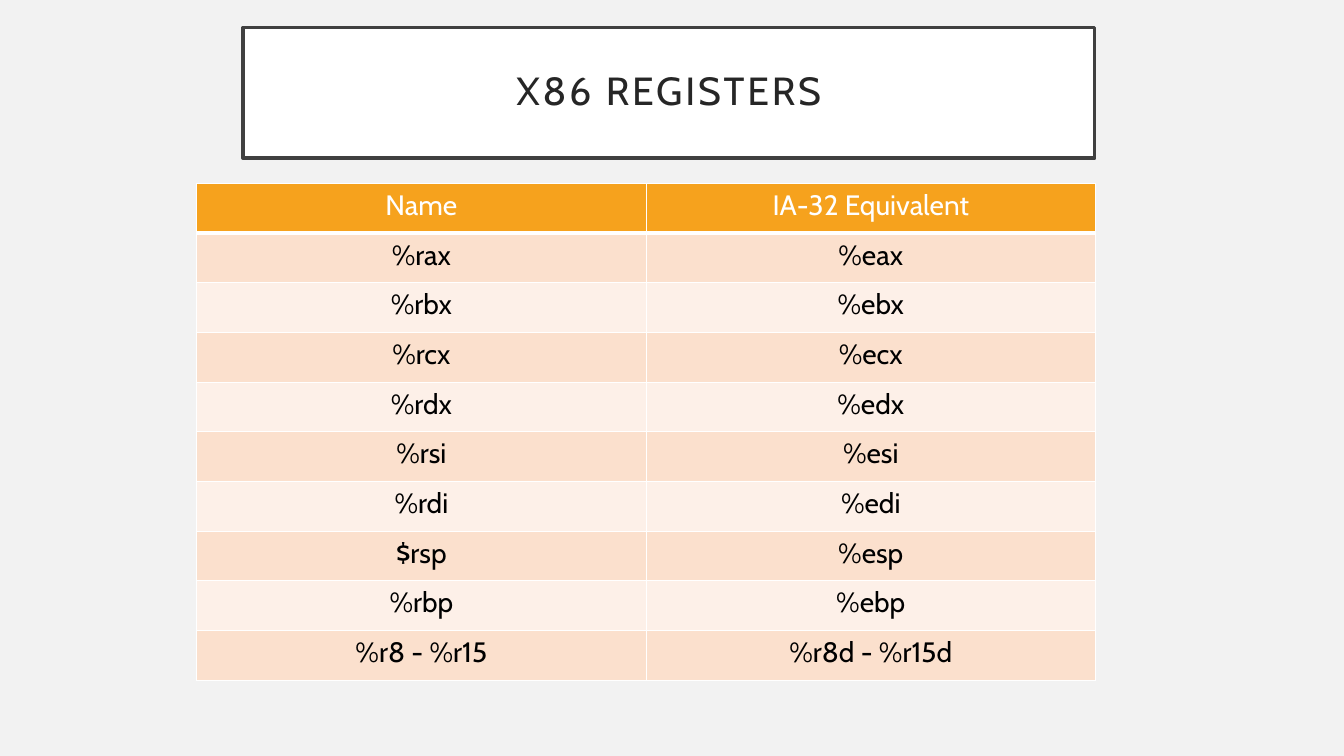
"""Build a slide with a table of x86 registers and their IA-32 equivalents."""
from lxml import etree
from pptx import Presentation
from pptx.dml.color import RGBColor
from pptx.enum.shapes import MSO_SHAPE
from pptx.enum.text import MSO_ANCHOR, PP_ALIGN
from pptx.oxml.ns import qn
from pptx.util import Pt

RECTANGLE = MSO_SHAPE.RECTANGLE
MIDDLE = MSO_ANCHOR.MIDDLE
CENTER = PP_ALIGN.CENTER

FONT = "Cabin"
COLORS = {
    "background": "F2F2F2",
    "white": "FFFFFF",
    "frame": "404040",
    "title": "262626",
    "header": "F6A21D",
    "odd_row": "FBE0CD",
    "even_row": "FDF0E8",
    "body": "000000",
}
REGISTERS = [
    ("Name", "IA-32 Equivalent"),
    ("%rax", "%eax"),
    ("%rbx", "%ebx"),
    ("%rcx", "%ecx"),
    ("%rdx", "%edx"),
    ("%rsi", "%esi"),
    ("%rdi", "%edi"),
    ("$rsp", "%esp"),
    ("%rbp", "%ebp"),
    ("%r8 - %r15", "%r8d - %r15d"),
]


def rgb(name):
    return RGBColor.from_string(COLORS[name])


def set_fill(fill, color):
    fill.solid()
    fill.fore_color.rgb = rgb(color)


def set_text(tf, text, size, color):
    tf.text = text
    p = tf.paragraphs[0]
    p.alignment = CENTER
    r = p.runs[0]
    r.font.name = FONT
    r.font.size = Pt(size)
    r.font.bold = False
    r.font.color.rgb = rgb(color)
    return p


def add_title(slide, text, left, top, width, height):
    sp = slide.shapes.add_shape(RECTANGLE, Pt(left), Pt(top), Pt(width), Pt(height))
    sp.shadow.inherit = False
    set_fill(sp.fill, "white")
    sp.line.color.rgb = rgb("frame")
    sp.line.width = Pt(2.5)
    tf = sp.text_frame
    tf.word_wrap = True
    tf.vertical_anchor = MIDDLE
    tf.margin_left = tf.margin_right = tf.margin_top = tf.margin_bottom = Pt(14.4)
    p = set_text(tf, text, 28, "title")
    p.line_spacing = 0.9
    p.runs[0].font._element.set("spc", "200")


def set_borders(cell, bottom):
    tc_pr = cell._tc.get_or_add_tcPr()
    for side, width in (("L", 1), ("R", 1), ("T", 1), ("B", bottom)):
        ln = etree.SubElement(tc_pr, qn(f"a:ln{side}"), w=str(Pt(width)))
        fill = etree.SubElement(ln, qn("a:solidFill"))
        etree.SubElement(fill, qn("a:srgbClr"), val=COLORS["white"])


def add_register_table(slide, rows, left, top, width, height):
    table = slide.shapes.add_table(
        len(rows), len(rows[0]), Pt(left), Pt(top), Pt(width), Pt(height)
    ).table
    for i, row in enumerate(rows):
        is_header = i == 0
        band = "header" if is_header else "odd_row" if i % 2 else "even_row"
        for j, text in enumerate(row):
            cell = table.cell(i, j)
            set_borders(cell, 3 if is_header else 1)
            set_fill(cell.fill, band)
            set_text(cell.text_frame, text, 20, "white" if is_header else "body")


def main():
    prs = Presentation()
    prs.slide_width, prs.slide_height = Pt(960), Pt(540)
    slide = prs.slides.add_slide(prs.slide_layouts[6])
    set_fill(slide.background.fill, "background")
    add_title(slide, "X86 REGISTERS", 173.6, 19.6, 608.4, 93.4)
    add_register_table(slide, REGISTERS, 140.5, 131, 642, 355)
    prs.save("out.pptx")


if __name__ == "__main__":
    main()
